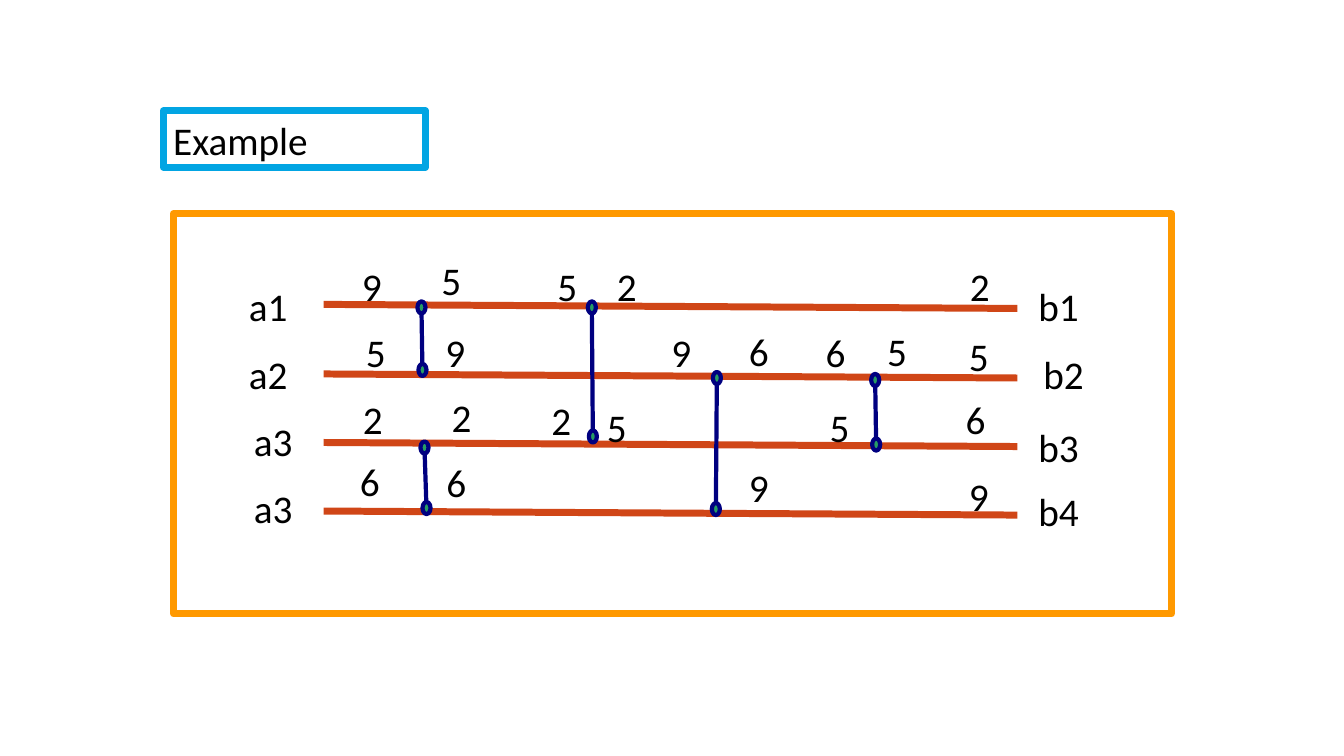
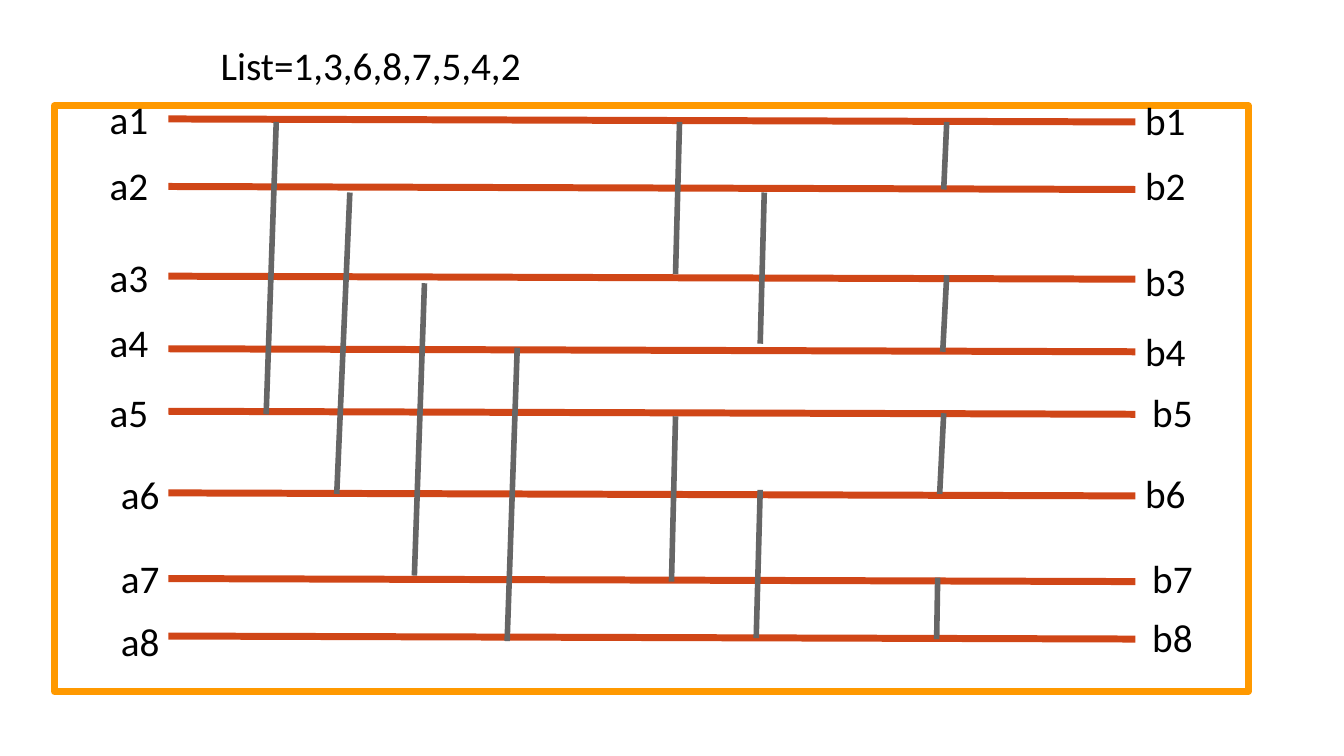
from dataclasses import dataclass

from lxml import etree
from pptx import Presentation
from pptx import util as u
from pptx.dml import color
from pptx.enum import shapes, text
from pptx.oxml import ns

COLOURS = {
    "paper": "FFFFFF",
    "ink": "000000",
    "frame": "FF9900",
    "wire": "D04617",
    "title": "02A5E3",
    "swap": "000080",
    "dot": "279C64",
    "link": "666666",
}
TEXT_FORMAT = {"name": "Calibri", "size": u.Pt(28)}
BODY_FORMAT = {
    "word_wrap": True,
    "auto_size": text.MSO_AUTO_SIZE.NONE,
    "vertical_anchor": text.MSO_ANCHOR.TOP,
}
TEXT_HEIGHT = 0.56
LABEL_WIDTH = 0.7
DIGIT_WIDTH = 0.45
DOT_WIDTH, DOT_HEIGHT = 0.08, 0.12


@dataclass(frozen=True)
class Label:
    words: str
    left: float
    top: float


@dataclass(frozen=True)
class Segment:
    x1: float
    y1: float
    x2: float
    y2: float


@dataclass(frozen=True)
class Wires:
    left: float
    right: float
    tops: list[float]
    drop: float


EXAMPLE_WIRES = Wires(3.21, 10.09, [3.02, 3.71, 4.39, 5.07], 0.04)
EXAMPLE_LABELS = [
    Label("a1", 2.37, 2.75), Label("a2", 2.37, 3.43),
    Label("a3", 2.42, 4.09), Label("a3", 2.42, 4.76),
    Label("b1", 10.2, 2.75), Label("b2", 10.25, 3.43),
    Label("b3", 10.2, 4.15), Label("b4", 10.2, 4.79),
]
SWAPS = [
    Segment(4.18, 3.05, 4.19, 3.67),
    Segment(4.21, 4.44, 4.23, 5.04),
    Segment(5.87, 3.05, 5.88, 4.33),
    Segment(7.11, 3.75, 7.1, 5.05),
    Segment(8.68, 3.77, 8.69, 4.41),
]
DIGITS = [
    Label("9", 3.49, 2.55), Label("5", 4.28, 2.49), Label("5", 5.43, 2.55),
    Label("2", 6.02, 2.55), Label("2", 9.52, 2.55),
    Label("5", 3.53, 3.21), Label("9", 4.32, 3.21), Label("9", 6.56, 3.21),
    Label("6", 7.33, 3.2), Label("6", 8.09, 3.21), Label("5", 8.7, 3.2),
    Label("5", 9.51, 3.25),
    Label("2", 3.5, 3.87), Label("2", 4.38, 3.85), Label("2", 5.37, 3.88),
    Label("5", 5.92, 3.95), Label("5", 8.13, 3.95), Label("6", 9.48, 3.87),
    Label("6", 3.47, 4.49), Label("6", 4.33, 4.5), Label("9", 7.33, 4.55),
    Label("9", 9.51, 4.64),
]

LIST_WIRES = Wires(
    1.67, 11.26, [1.18, 1.85, 2.74, 3.46, 4.08, 4.89, 5.74, 6.31], 0.03
)
LIST_LABELS = [
    Label("a1", 0.99, 0.9), Label("a2", 0.99, 1.55),
    Label("a3", 0.99, 2.46), Label("a4", 0.99, 3.11),
    Label("a5", 0.99, 3.8), Label("a6", 1.1, 4.62),
    Label("a7", 1.1, 5.45), Label("a8", 1.1, 6.08),
    Label("b1", 11.26, 0.91), Label("b2", 11.26, 1.55),
    Label("b3", 11.26, 2.5), Label("b4", 11.26, 3.2),
    Label("b5", 11.33, 3.8), Label("b6", 11.26, 4.61),
    Label("b7", 11.33, 5.45), Label("b8", 11.33, 6.04),
]
LINKS = [
    Segment(2.74, 1.21, 2.64, 4.11),
    Segment(3.47, 1.91, 3.34, 4.9),
    Segment(4.21, 2.81, 4.11, 5.71),
    Segment(5.13, 3.45, 5.03, 6.36),
    Segment(6.74, 1.21, 6.7, 2.72),
    Segment(7.58, 1.91, 7.54, 3.41),
    Segment(6.7, 4.13, 6.66, 5.77),
    Segment(7.54, 4.86, 7.5, 6.33),
    Segment(9.39, 1.21, 9.36, 1.88),
    Segment(9.39, 2.73, 9.35, 3.49),
    Segment(9.36, 4.1, 9.32, 4.9),
    Segment(9.3, 5.73, 9.29, 6.34),
]


def rgb(name: str) -> color.RGBColor:
    return color.RGBColor.from_string(COLOURS[name])


def set_line(item, name: str, points: float) -> None:
    item.line.color.rgb = rgb(name)
    item.line.width = u.Pt(points)


def add_text(page, label: Label, width: float):
    box = page.shapes.add_textbox(
        u.Inches(label.left), u.Inches(label.top),
        u.Inches(width), u.Inches(TEXT_HEIGHT),
    )
    for key, value in BODY_FORMAT.items():
        setattr(box.text_frame, key, value)
    para = box.text_frame.paragraphs[0]
    span = para.add_run()
    span.text = label.words
    for key, value in TEXT_FORMAT.items():
        setattr(span.font, key, value)
    span.font.color.rgb = rgb("ink")
    return box


def add_texts(page, labels: list[Label], width: float) -> None:
    for label in labels:
        add_text(page, label, width)


def add_outlined(page, kind, left: float, top: float, width: float,
                 height: float, fill: str, line: str, points: float) -> None:
    shape = page.shapes.add_shape(
        kind, u.Inches(left), u.Inches(top), u.Inches(width), u.Inches(height)
    )
    shape.shadow.inherit = False
    shape.fill.solid()
    shape.fill.fore_color.rgb = rgb(fill)
    set_line(shape, line, points)


def add_frame(page, left: float, top: float, width: float, height: float) -> None:
    add_outlined(page, shapes.MSO_SHAPE.RECTANGLE, left, top, width, height,
                 "paper", "frame", 5)


def add_segment(page, segment: Segment, name: str, points: float) -> None:
    line = page.shapes.add_connector(
        shapes.MSO_CONNECTOR.STRAIGHT,
        u.Inches(segment.x1), u.Inches(segment.y1),
        u.Inches(segment.x2), u.Inches(segment.y2),
    )
    set_line(line, name, points)
    etree.SubElement(line._element.spPr, ns.qn("a:effectLst"))


def add_wires(page, wires: Wires) -> None:
    for top in wires.tops:
        segment = Segment(wires.left, top, wires.right, top + wires.drop)
        add_segment(page, segment, "wire", 5)


def add_swap(page, swap: Segment) -> None:
    add_segment(page, swap, "swap", 3)
    for x, y in ((swap.x1, swap.y1), (swap.x2, swap.y2)):
        add_outlined(page, shapes.MSO_SHAPE.OVAL,
                     x - DOT_WIDTH / 2, y - DOT_HEIGHT / 2,
                     DOT_WIDTH, DOT_HEIGHT, "dot", "swap", 3)


def build_example(page) -> None:
    add_frame(page, 1.72, 2.12, 9.9, 3.97)
    add_wires(page, EXAMPLE_WIRES)
    add_texts(page, EXAMPLE_LABELS, LABEL_WIDTH)
    for swap in SWAPS:
        add_swap(page, swap)
    title = add_text(page, Label("Example", 1.62, 1.1), 2.6)
    set_line(title, "title", 5)
    add_texts(page, DIGITS, DIGIT_WIDTH)


def build_list(page) -> None:
    add_frame(page, 0.54, 1.05, 11.84, 5.81)
    add_wires(page, LIST_WIRES)
    for link in LINKS:
        add_segment(page, link, "link", 4)
    add_texts(page, LIST_LABELS, LABEL_WIDTH)
    add_text(page, Label("List=1,3,6,8,7,5,4,2", 2.09, 0.36), 4.37)


def main() -> None:
    deck = Presentation()
    deck.slide_width, deck.slide_height = u.Inches(13.33), u.Inches(7.5)
    for build in (build_example, build_list):
        build(deck.slides.add_slide(deck.slide_layouts[6]))
    deck.save("out.pptx")


if __name__ == "__main__":
    main()
